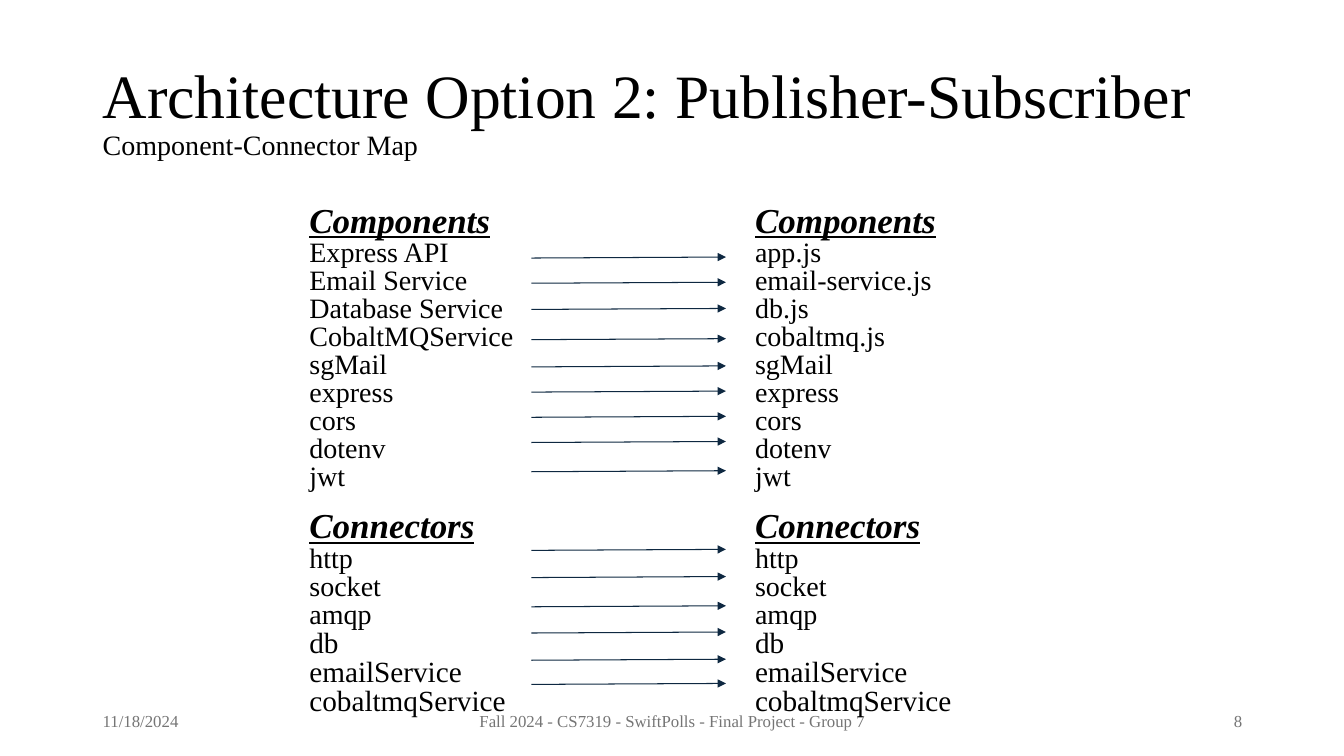
import pptx
import pptx.dml.color
import pptx.enum.shapes
import pptx.enum.text
import pptx.oxml.ns
import pptx.util
import lxml.etree

BLACK = pptx.dml.color.RGBColor(0x00, 0x00, 0x00)
GREY = pptx.dml.color.RGBColor(0x75, 0x75, 0x75)
NAVY = pptx.dml.color.RGBColor(0x0E, 0x28, 0x41)

ALIGN = pptx.enum.text.PP_ALIGN
ANCHOR = pptx.enum.text.MSO_ANCHOR

SHARED_CONNECTORS = ["http", "socket", "amqp", "db", "emailService", "cobaltmqService"]
SHARED_LIBRARIES = ["sgMail", "express", "cors", "dotenv", "jwt"]
SERVICES = ["Express API", "Email Service", "Database Service", "CobaltMQService"]
FILES = ["app.js", "email-service.js", "db.js", "cobaltmq.js"]
ARROW_YS = [256, 281, 307, 337, 364, 389, 414, 439, 468,
            546, 573, 602, 628, 655, 679]


def px(length):
    """100 px to the inch."""
    return pptx.util.Emu(length * 9144)


class MapSlide:
    font = "Times New Roman"

    def __init__(self, deck):
        self.slide = deck.slides.add_slide(deck.slide_layouts[6])

    def frame(self, left, top, width, height, anchor):
        box = self.slide.shapes.add_textbox(px(left), px(top), px(width), px(height))
        box.text_frame.word_wrap = True
        box.text_frame.vertical_anchor = anchor
        return box.text_frame

    def run(self, paragraph, words, size, color=BLACK, emphasis=False):
        run = paragraph.add_run()
        run.text = words
        run.font.name = self.font
        run.font.size = pptx.util.Pt(size)
        run.font.color.rgb = color
        if emphasis:
            run.font.bold = run.font.italic = run.font.underline = True

    def title(self, heading, subtitle):
        line = self.frame(92, 40, 1150, 145, ANCHOR.MIDDLE).paragraphs[0]
        line.line_spacing = 0.9
        self.run(line, heading, 44)
        line.add_line_break()
        self.run(line, subtitle, 20)

    def footer(self, left, width, words, align):
        line = self.frame(left, 695, width, 40, ANCHOR.MIDDLE).paragraphs[0]
        line.alignment = align
        self.run(line, words, 12, GREY)

    def column(self, left, components, connectors):
        frame = self.frame(left, 200, 372, 400, ANCHOR.TOP)
        entries = [("Components", 25, 0)]
        entries += [(name, 20, 0.8) for name in components]
        entries += [("Connectors", 25, 14)]
        entries += [(name, 20 if place < 3 else 20.9, 0.8)
                    for place, name in enumerate(connectors)]
        for place, (name, size, gap) in enumerate(entries):
            line = frame.add_paragraph() if place else frame.paragraphs[0]
            line.line_spacing = 0.8
            line.space_before = pptx.util.Pt(gap)
            properties = line._p.get_or_add_pPr()
            properties.set("marL", str(px(25)))
            properties.set("indent", str(px(-6)))
            self.run(line, name, size, emphasis=size == 25)

    def arrow(self, y):
        arrow = self.slide.shapes.add_connector(
            pptx.enum.shapes.MSO_CONNECTOR.STRAIGHT, px(527), px(y), px(720), px(y - 1))
        arrow.line.color.rgb = NAVY
        arrow.line.width = pptx.util.Pt(0.75)
        qn = pptx.oxml.ns.qn
        outline = arrow.line._get_or_add_ln()
        lxml.etree.SubElement(outline, qn("a:tailEnd"), type="triangle")
        lxml.etree.SubElement(arrow._element.spPr, qn("a:effectLst"))


def main():
    deck = pptx.Presentation()
    deck.slide_width, deck.slide_height = px(1333), px(750)
    page = MapSlide(deck)

    # Title and footer
    page.title("Architecture Option 2: Publisher-Subscriber", "Component-Connector Map")
    page.footer(92, 300, "11/18/2024", ALIGN.LEFT)
    page.footer(442, 450, "Fall 2024 - CS7319 - SwiftPolls - Final Project - Group 7",
                ALIGN.CENTER)
    page.footer(942, 300, "8", ALIGN.RIGHT)

    # Architecture names and the code that implements them
    page.column(278, SERVICES + SHARED_LIBRARIES, SHARED_CONNECTORS)
    page.column(720, FILES + SHARED_LIBRARIES, SHARED_CONNECTORS)

    # Mapping arrows
    for y in ARROW_YS:
        page.arrow(y)

    deck.save("out.pptx")


if __name__ == "__main__":
    main()
